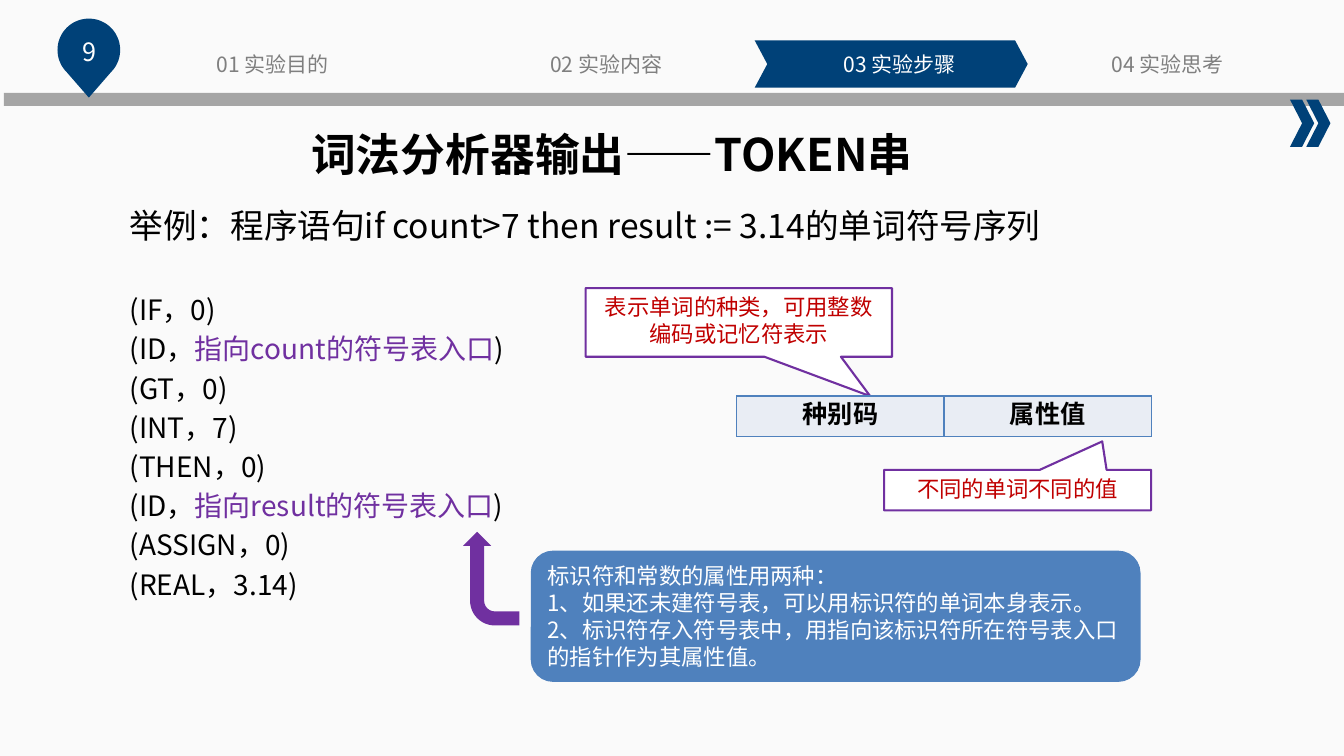
import math

import pptx
import pptx.util
from lxml import etree
from pptx.dml.color import RGBColor
from pptx.enum.shapes import MSO_SHAPE
from pptx.enum.text import MSO_ANCHOR, PP_ALIGN
from pptx.oxml.ns import qn
from pptx.util import Cm, Pt

FONT = "Noto Sans CJK SC"
COLORS = {
    "navy": "004178", "bar": "A5A5A5", "tab": "7F7F7F", "white": "FFFFFF",
    "black": "000000", "purple": "7030A0", "red": "C00000", "blue": "4F81BD",
    "cell": "E9EDF4", "bg_top": "FAFAFA", "bg_bottom": "FCFCFC",
}
RGB = {name: RGBColor.from_string(value) for name, value in COLORS.items()}


def write(tf, lines, size, color, align=PP_ALIGN.LEFT, bold=False, font=FONT, before=0):
    """Fill a text frame; parts of a line between bars turn purple."""
    tf.word_wrap = True
    for i, line in enumerate(lines):
        p = tf.paragraphs[0] if i == 0 else tf.add_paragraph()
        p.alignment = align
        if i and before:
            p.space_before = Pt(before)
        p.font.size, p.font.bold, p.font.name = Pt(size), bold, font
        p.font.color.rgb = RGB[color]
        etree.SubElement(p.font._element, qn("a:ea"), typeface=font)
        for j, part in enumerate(line.split("|")):
            r = p.add_run()
            r.text = part
            if j % 2:
                r.font.color.rgb = RGB["purple"]


def add_shape(kind, box, fill, line=None, width=0.75, adjust=()):
    sp = s.shapes.add_shape(kind, *map(Cm, box))
    sp.shadow.inherit = False
    sp.fill.solid()
    sp.fill.fore_color.rgb = RGB[fill]
    if line:
        sp.line.color.rgb = RGB[line]
        sp.line.width = Pt(width)
    else:
        sp.line.fill.background()
    for i, value in enumerate(adjust):
        sp.adjustments[i] = value
    return sp


prs = pptx.Presentation()
prs.slide_width, prs.slide_height = Cm(33.87), Cm(19.05)
s = prs.slides.add_slide(prs.slide_layouts[6])
bg = s.background.fill
bg.gradient()
bg.gradient_angle = 270
for stop, name in zip(bg.gradient_stops, ("bg_top", "bg_bottom")):
    stop.color.rgb = RGB[name]

# Navigation bar
add_shape(MSO_SHAPE.RECTANGLE, (0.1, 2.34, 33.77, 0.33), "bar")
for left in (32.51, 32.92):
    add_shape(MSO_SHAPE.CHEVRON, (left, 2.51, 0.61, 1.19), "navy", adjust=[0.5])
add_shape(MSO_SHAPE.CHEVRON, (19.02, 1.02, 6.88, 1.19), "navy", adjust=[0.267])

tabs = [
    ("01 实验目的", 4.06, 5.64, "tab"),
    ("02 实验内容", 11.68, 7.19, "tab"),
    ("03 实验步骤", 17.7, 9.96, "white"),
    ("04 实验思考", 26.24, 6.38, "tab"),
]
for label, left, width, color in tabs:
    tf = s.shapes.add_textbox(Cm(left), Cm(1.3), Cm(width), Cm(0.64)).text_frame
    tf.margin_left = tf.margin_right = tf.margin_top = tf.margin_bottom = 0
    tf.vertical_anchor = MSO_ANCHOR.MIDDLE
    write(tf, [label], 15, color, PP_ALIGN.CENTER)

# Page number pin: a round head with a pointed tip
pin_x, pin_y, pin_r = 2.24, 1.26, 0.79
arc = [
    (Cm(pin_x + pin_r * math.cos(math.radians(a))), Cm(pin_y + pin_r * math.sin(math.radians(a))))
    for a in range(135, 406, 5)
]
pin = s.shapes.build_freeform(Cm(pin_x), Cm(2.46))
pin.add_line_segments(arc, close=True)
sp = pin.convert_to_shape()
sp.shadow.inherit = False
sp.fill.solid()
sp.fill.fore_color.rgb = RGB["navy"]
sp.line.fill.background()
tf = s.shapes.add_textbox(Cm(1.14), Cm(0.79), Cm(2.21), Cm(1.02)).text_frame
write(tf, ["9"], 18, "white", PP_ALIGN.CENTER)

# Title, example and token list
tf = s.shapes.add_textbox(Cm(1.5), Cm(2.67), Cm(27.84), Cm(2.03)).text_frame
write(tf, ["词法分析器输出——TOKEN串"], 32, "black", PP_ALIGN.CENTER, bold=True)
tf.paragraphs[0].line_spacing = 1.3

tf = s.shapes.add_textbox(Cm(3.02), Cm(5.03), Cm(25.98), Cm(1.27)).text_frame
write(tf, ["举例：程序语句if count>7 then result := 3.14的单词符号序列"], 24, "black")

tokens = [
    "(IF，0)", "(ID，|指向count的符号表入口|)", "(GT，0)", "(INT，7)",
    "(THEN，0)", "(ID，|指向result的符号表入口|)", "(ASSIGN，0)", "(REAL，3.14)",
]
tf = s.shapes.add_textbox(Cm(3.02), Cm(7.25), Cm(12.8), Cm(8.27)).text_frame
write(tf, tokens, 20, "black", before=4)

# Callouts around the token layout
callouts = [
    ("表示单词的种类，可用整数编码或记忆符表示", (14.76, 7.26, 7.72, 1.73), (0.429, 1.075)),
    ("不同的单词不同的值", (22.28, 11.84, 6.73, 1.02), (0.317, -1.202)),
]
for text, box, tip in callouts:
    sp = add_shape(MSO_SHAPE.RECTANGULAR_CALLOUT, box, "white", "purple", 1.5, tip)
    sp.text_frame.vertical_anchor = MSO_ANCHOR.TOP
    write(sp.text_frame, [text], 16, "red", PP_ALIGN.CENTER)

# Note on attribute values
note = add_shape(MSO_SHAPE.ROUNDED_RECTANGLE, (13.39, 13.89, 15.34, 3.28), "blue", "blue")
note.text_frame.vertical_anchor = MSO_ANCHOR.TOP
write(note.text_frame, [
    "标识符和常数的属性用两种：",
    "1、如果还未建符号表，可以用标识符的单词本身表示。",
    "2、标识符存入符号表中，用指向该标识符所在符号表入口的指针作为其属性值。",
], 16, "white")
arrow = add_shape(MSO_SHAPE.BENT_ARROW, (11.2, 13.87, 2.36, 1.42), "purple",
                  adjust=(0.25, 0.25, 0.25, 0.438))
arrow.rotation = 270

# Token layout table
table = s.shapes.add_table(1, 2, Cm(18.57), Cm(9.98), Cm(10.44), Cm(1.02)).table
for cell, text in zip(table.rows[0].cells, ("种别码", "属性值")):
    tcPr = cell._tc.get_or_add_tcPr()
    for side in ("lnL", "lnR", "lnT", "lnB"):
        ln = etree.SubElement(tcPr, qn(f"a:{side}"), w=str(Pt(1)))
        fill = etree.SubElement(ln, qn("a:solidFill"))
        etree.SubElement(fill, qn("a:srgbClr"), val=COLORS["blue"])
    cell.fill.solid()
    cell.fill.fore_color.rgb = RGB["cell"]
    write(cell.text_frame, [text], 18, "black", PP_ALIGN.CENTER, bold=True, font="Arial")

prs.save("out.pptx")
